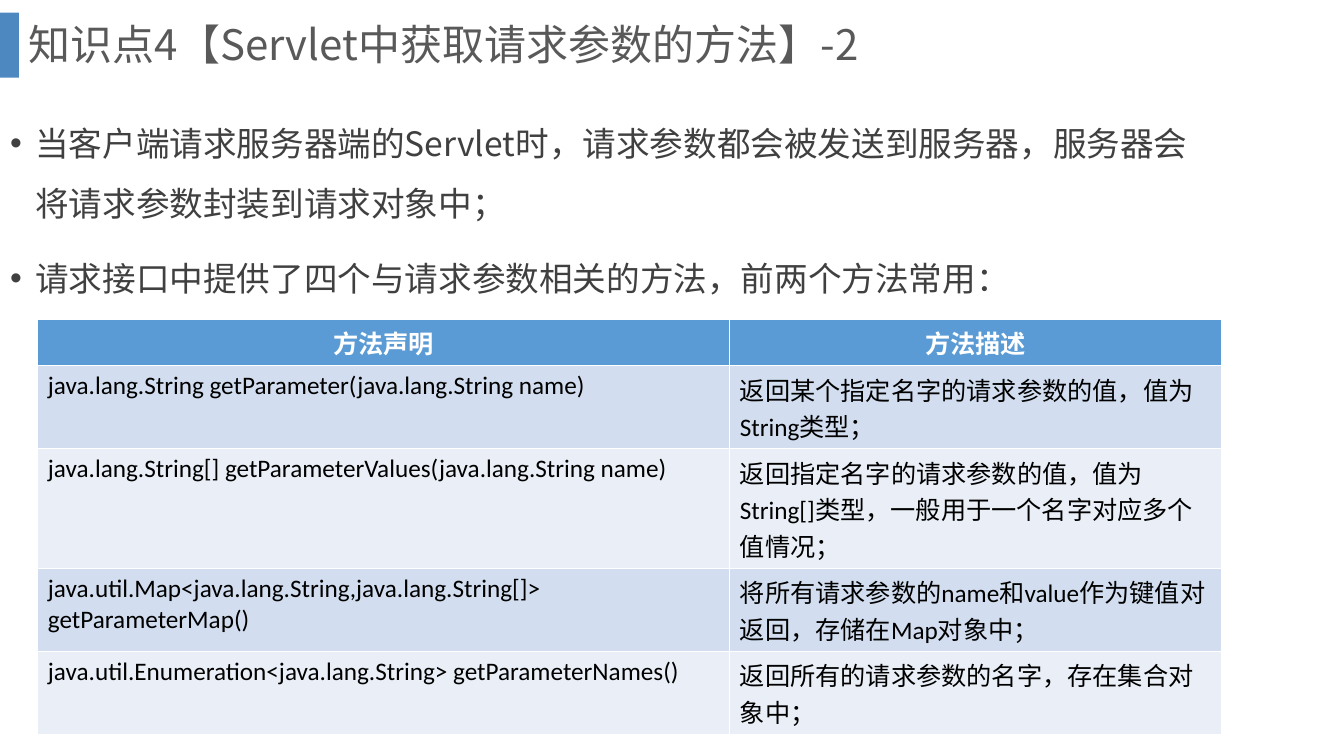
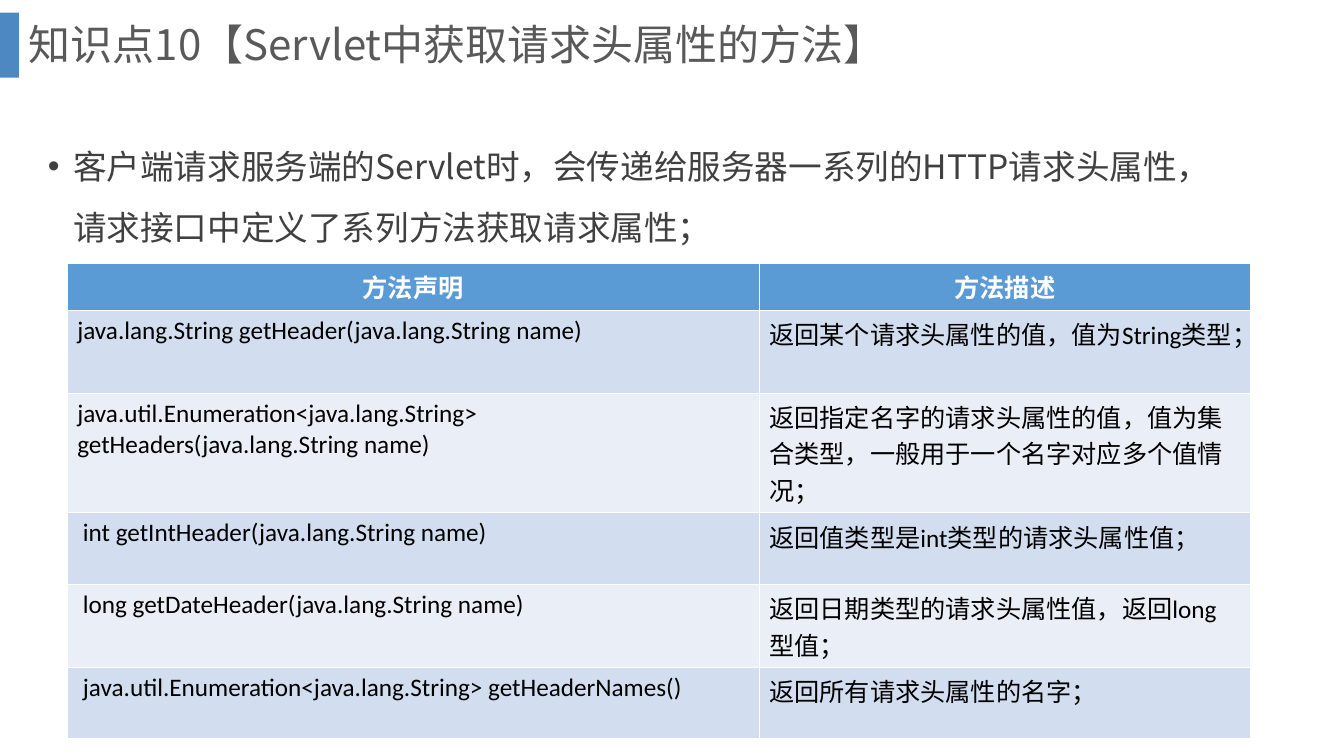
from dataclasses import dataclass

from lxml.etree import SubElement
from pptx import Presentation
from pptx.dml.color import RGBColor as Color
from pptx.enum.shapes import MSO_SHAPE as Shape
from pptx.enum.text import MSO_ANCHOR as Anchor, MSO_AUTO_SIZE as AutoSize, PP_ALIGN as Align
from pptx.oxml.ns import qn
from pptx.util import Pt

EMU_PER_PX = 9525


def px(length):
    return length * EMU_PER_PX


@dataclass(frozen=True)
class Theme:
    band: str = "2E75B6"
    band_alpha: int = 85
    title: str = "595959"
    body: str = "404040"
    header_fill: str = "5B9BD5"
    header_text: str = "FFFFFF"
    cell_text: str = "000000"
    row_fills: tuple = ("D2DEEF", "EAEFF7")
    title_size: int = 30
    body_size: int = 24
    table_size: int = 18
    chinese_font: str = "Noto Sans CJK SC"
    table_font: str = "Calibri"


class Deck:
    def __init__(self, theme):
        self.theme = theme
        self.presentation = Presentation()
        self.presentation.slide_width = px(1280)
        self.presentation.slide_height = px(720)
        self.slide = None

    def add_slide(self, title):
        self.slide = self.presentation.slides.add_slide(self.presentation.slide_layouts[1])
        self.add_band()
        self.set_title(title)

    def add_band(self):
        band = self.slide.shapes.add_shape(Shape.RECTANGLE, px(0), px(12), px(18), px(62))
        band.shadow.inherit = False
        band.line.fill.background()
        band.fill.solid()
        band.fill.fore_color.rgb = Color.from_string(self.theme.band)
        color = band.fill._xPr.find(f"{qn('a:solidFill')}/{qn('a:srgbClr')}")
        SubElement(color, qn("a:alpha"), val=str(self.theme.band_alpha * 1000))

    def set_title(self, text):
        frame = self.fill_placeholder(self.slide.shapes.title, (18, 0, 1215, 89), text)
        frame.vertical_anchor = Anchor.MIDDLE
        paragraph = frame.paragraphs[0]
        paragraph.alignment = Align.LEFT
        paragraph.line_spacing = 0.9
        self.format_runs(paragraph, self.theme.chinese_font, self.theme.title_size, self.theme.title)

    def set_bullets(self, box, items):
        frame = self.fill_placeholder(self.slide.placeholders[1], box, "\n".join(items))
        for paragraph in frame.paragraphs:
            paragraph.line_spacing = 1.5
            paragraph.space_before = Pt(10)
            properties = paragraph._p.get_or_add_pPr()
            properties.set("marL", str(px(24)))
            properties.set("indent", str(px(-24)))
            self.format_runs(paragraph, self.theme.chinese_font, self.theme.body_size, self.theme.body)

    def add_method_table(self, left, top, methods, row_heights, indented_rows=()):
        theme = self.theme
        rows = [("方法声明", "方法描述"), *methods]
        widths = (659, 468)
        table = self.slide.shapes.add_table(
            len(rows), len(widths), px(left), px(top), px(sum(widths)), px(sum(row_heights))
        ).table
        for column, width in zip(table.columns, widths):
            column.width = px(width)
        for row, height in zip(table.rows, row_heights):
            row.height = px(height)
        for row_index, texts in enumerate(rows):
            is_header = row_index == 0
            fill = theme.header_fill if is_header else theme.row_fills[(row_index - 1) % 2]
            color = theme.header_text if is_header else theme.cell_text
            for column_index, text in enumerate(texts):
                cell = table.cell(row_index, column_index)
                cell.fill.solid()
                cell.fill.fore_color.rgb = Color.from_string(fill)
                cell.text_frame.text = text
                paragraph = cell.text_frame.paragraphs[0]
                paragraph.alignment = Align.CENTER if is_header else Align.LEFT
                self.format_runs(paragraph, theme.table_font, theme.table_size, color, is_header)
            if row_index in indented_rows:
                table.cell(row_index, 0).margin_left = px(15)

    def fill_placeholder(self, placeholder, box, text):
        left, top, width, height = map(px, box)
        placeholder.left, placeholder.top = left, top
        placeholder.width, placeholder.height = width, height
        frame = placeholder.text_frame
        frame.auto_size = AutoSize.NONE
        frame.word_wrap = True
        frame.text = text
        return frame

    def format_runs(self, paragraph, font_name, size, color, bold=False):
        for run in paragraph.runs:
            run.font.name = font_name
            run.font.size = Pt(size)
            run.font.bold = bold
            run.font.color.rgb = Color.from_string(color)
            SubElement(run._r.get_or_add_rPr(), qn("a:ea"), typeface=self.theme.chinese_font)


def main():
    deck = Deck(Theme())

    deck.add_slide("知识点4【Servlet中获取请求参数的方法】-2")
    deck.set_bullets((0, 93, 1157, 309), [
        "当客户端请求服务器端的Servlet时，请求参数都会被发送到服务器，服务器会将请求参数封装到请求对象中；",
        "请求接口中提供了四个与请求参数相关的方法，前两个方法常用：",
    ])
    deck.add_method_table(36, 304, [
        ("java.lang.String getParameter(java.lang.String name)",
         "返回某个指定名字的请求参数的值，值为String类型；"),
        ("java.lang.String[] getParameterValues(java.lang.String name)",
         "返回指定名字的请求参数的值，值为String[]类型，一般用于一个名字对应多个值情况；"),
        ("java.util.Map<java.lang.String,java.lang.String[]> getParameterMap()",
         "将所有请求参数的name和value作为键值对返回，存储在Map对象中；"),
        ("java.util.Enumeration<java.lang.String> getParameterNames()",
         "返回所有的请求参数的名字，存在集合对象中；"),
    ], (43, 79, 114, 79, 79))

    deck.add_slide("知识点10【Servlet中获取请求头属性的方法】")
    deck.set_bullets((36, 115, 1157, 140), [
        "客户端请求服务端的Servlet时，会传递给服务器一系列的HTTP请求头属性，请求接口中定义了系列方法获取请求属性；",
    ])
    deck.add_method_table(64, 251, [
        ("java.lang.String getHeader(java.lang.String name)",
         "返回某个请求头属性的值，值为String类型；"),
        ("java.util.Enumeration<java.lang.String> getHeaders(java.lang.String name)",
         "返回指定名字的请求头属性的值，值为集合类型，一般用于一个名字对应多个值情况；"),
        ("int getIntHeader(java.lang.String name)",
         "返回值类型是int类型的请求头属性值；"),
        ("long getDateHeader(java.lang.String name)",
         "返回日期类型的请求头属性值，返回long型值；"),
        ("java.util.Enumeration<java.lang.String> getHeaderNames()",
         "返回所有请求头属性的名字；"),
    ], (43, 79, 114, 68, 79, 68), indented_rows=(3, 4, 5))

    deck.presentation.save("out.pptx")


if __name__ == "__main__":
    main()
